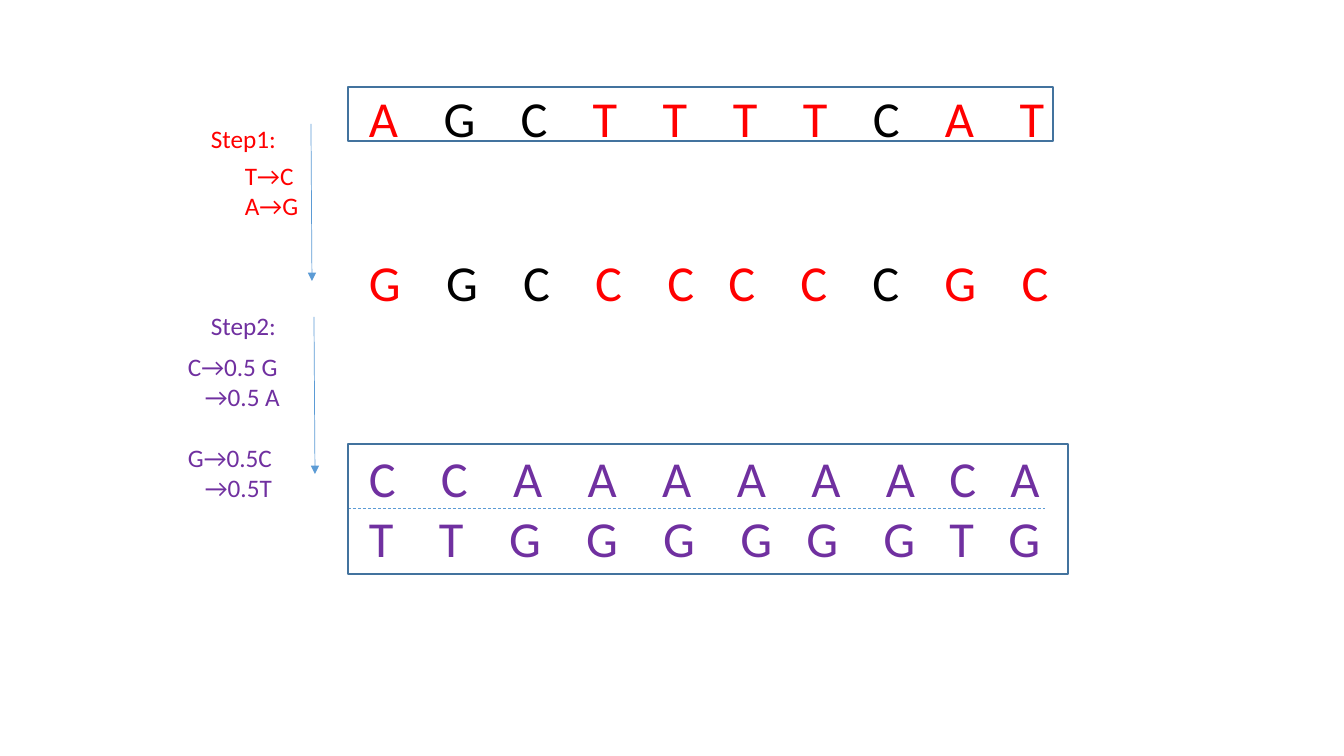
from lxml import etree
from pptx import Presentation
from pptx import util as u
from pptx.dml.color import RGBColor
from pptx.enum import dml, shapes, text
from pptx.oxml.ns import qn

RED = RGBColor(0xFF, 0x00, 0x00)
BLACK = RGBColor(0x00, 0x00, 0x00)
PURPLE = RGBColor(0x70, 0x30, 0xA0)
BLUE = RGBColor(0x5B, 0x9B, 0xD5)
FRAME_BLUE = RGBColor(0x43, 0x73, 0x9E)

PX = 914400 / 100.8
LETTER_EM = {"A": 0.58, "C": 0.53, "G": 0.63, "T": 0.49}
WIDE_GAP, NARROW_GAP = 0.9, 0.68
BASE_SIZE, NOTE_SIZE = 36, 18


def px(*lengths):
    return [u.Emu(round(length * PX)) for length in lengths]


def write(box, content, size=NOTE_SIZE, colour=BLACK, para=None, indent=0, before=0):
    """Add a span to para, or to a new paragraph of box; return the paragraph."""
    frame = box.text_frame
    frame.word_wrap = True
    if para is None:
        first = frame.paragraphs[0]
        para = frame.add_paragraph() if first.runs else first
        para.alignment = text.PP_ALIGN.LEFT
        para.space_before = u.Pt(before)
        if indent:
            para._p.get_or_add_pPr().set("marL", str(px(indent)[0]))
    span = para.add_run()
    span.text = content
    span.font.name = "Calibri"
    span.font.size = u.Pt(size)
    span.font.color.rgb = colour
    return para


deck = Presentation()
deck.slide_width, deck.slide_height = px(1344, 756)
page = deck.slides.add_slide(deck.slide_layouts[6])

# Base sequences: letters, their colours, and the letters followed by a narrow gap
INKS = {"r": RED, "k": BLACK, "p": PURPLE}
sequences = [
    (82, 72, [("AGCTTTTCAT", "rkkrrrrkrr", ())]),
    (246, 72, [("GGCCCCCCGC", "rkkrrrrkrr", (4,))]),
    (442, 132, [("CCAAAAAACA", "p" * 10, (7, 8)),
                ("TTGGGGGGTG", "p" * 10, (5, 7, 8))]),
]
for top, height, rows in sequences:
    box = page.shapes.add_textbox(*px(359, top, 925, height))
    for letters, inks, narrow in rows:
        para = None
        stops = etree.Element(qn("a:tabLst"))
        offset = 0
        last = len(letters) - 1
        for i, (letter, ink) in enumerate(zip(letters, inks)):
            content = letter if i == last else letter + "\t"
            para = write(box, content, size=BASE_SIZE, colour=INKS[ink], para=para)
            offset += LETTER_EM[letter] + (NARROW_GAP if i in narrow else WIDE_GAP)
            if i < last:
                position = str(u.Pt(offset * BASE_SIZE))
                etree.SubElement(stops, qn("a:tab"), pos=position, algn="l")
        para._p.get_or_add_pPr().append(stops)

# Step titles and substitution rules: content, indent, space before
notes = [
    (201, 118, 125, 40, RED, [("Step1:", 0, 0)]),
    (235, 155, 113, 72, RED, [("T→C", 0, 0), ("A→G", 0, 0)]),
    (201, 305, 125, 40, PURPLE, [("Step2:", 0, 0)]),
    (178, 346, 126, 163, PURPLE, [("C→0.5 G", 0, 0), ("→0.5 A", 17, 0),
                                  ("G→0.5C", 0, 22), ("→0.5T", 17, 0)]),
]
for left, top, width, height, colour, lines in notes:
    box = page.shapes.add_textbox(*px(left, top, width, height))
    for content, indent, before in lines:
        write(box, content, colour=colour, indent=indent, before=before)

# Step arrows and the dashed divider between the two results
for ends, is_arrow in [((311, 124, 312, 281), True),
                       ((314, 317, 315, 474), True),
                       ((348, 508, 1045, 508), False)]:
    line = page.shapes.add_connector(shapes.MSO_CONNECTOR.STRAIGHT, *px(*ends))
    line.line.color.rgb = BLUE
    line.line.width = u.Pt(0.5)
    if is_arrow:
        etree.SubElement(line.line._get_or_add_ln(), qn("a:tailEnd"), type="triangle")
    else:
        line.line.dash_style = dml.MSO_LINE.DASH
    etree.SubElement(line._element.spPr, qn("a:effectLst"))

# Frames around the first and the last sequences
for top, width, height in [(87, 705, 54), (444, 720, 130)]:
    frame = page.shapes.add_shape(shapes.MSO_SHAPE.RECTANGLE, *px(348, top, width, height))
    frame.shadow.inherit = False
    frame.fill.background()
    frame.line.color.rgb = FRAME_BLUE
    frame.line.width = u.Pt(1)

deck.save("out.pptx")
